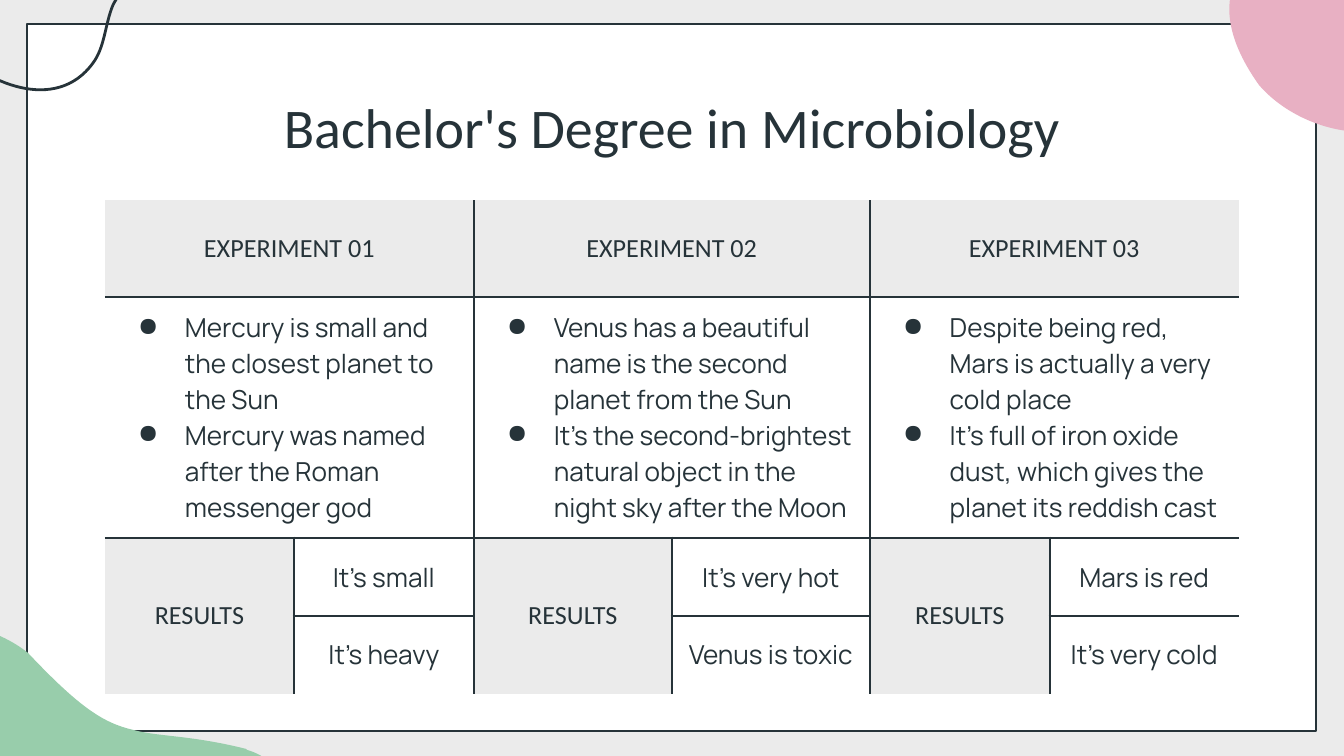
import pptx
import pptx.util
import pptx.dml.color
import pptx.enum.shapes
import pptx.enum.text
import pptx.oxml
import pptx.oxml.ns
import lxml.etree

PX = 914400 / 134.4
COLORS = {"ink": "263339", "gray": "EBEBEB", "white": "FFFFFF", "pink": "E8B0C3", "green": "98CDAB"}
LINE = pptx.util.Pt(1.5)
MIDDLE = pptx.enum.text.MSO_ANCHOR.MIDDLE
CENTER = pptx.enum.text.PP_ALIGN.CENTER
qn = pptx.oxml.ns.qn
RGB = {k: pptx.dml.color.RGBColor.from_string(v) for k, v in COLORS.items()}


def px(n):
    return round(n * PX)


def write(tf, texts, font, size, bullet=False):
    for i, text in enumerate(texts):
        p = tf.paragraphs[0] if i == 0 else tf.add_paragraph()
        r = p.add_run()
        r.text = text
        for key, value in {"name": font, "size": pptx.util.Pt(size), "bold": False}.items():
            setattr(r.font, key, value)
        r.font.color.rgb = RGB["ink"]
        if not bullet:
            p.alignment = CENTER
            continue
        pPr = p._p.get_or_add_pPr()
        pPr.set("marL", str(px(67)))
        pPr.set("indent", str(px(-47)))
        color = lxml.etree.SubElement(pPr, qn("a:buClr"))
        lxml.etree.SubElement(color, qn("a:srgbClr"), val=COLORS["ink"])
        lxml.etree.SubElement(pPr, qn("a:buChar"), char="●")


prs = pptx.Presentation()
prs.slide_width, prs.slide_height = px(1344), px(756)
s = prs.slides.add_slide(prs.slide_layouts[5])
s.background.fill.solid()
s.background.fill.fore_color.rgb = RGB["gray"]

frame = s.shapes.add_shape(pptx.enum.shapes.MSO_SHAPE.RECTANGLE, px(27), px(24), px(1289), px(707))
frame.shadow.inherit = False
frame.fill.solid()
frame.fill.fore_color.rgb = RGB["white"]
frame.line.color.rgb = RGB["ink"]
frame.line.width = LINE

# Each blob is a start point followed by triples of cubic curve points.
blobs = [
    ("pink", [(1337, -69), (1259, -69), (1187, -16), (1259, 85), (1283, 113), (1324, 132), (1363, 132),
              (1384, 132), (1407, 125), (1425, 112), (1452, 86), (1464, 43), (1457, 7),
              (1443, -44), (1388, -69), (1337, -69)]),
    ("green", [(-39, 624), (-50, 621), (-59, 620), (-70, 618), (-102, 612), (-130, 641), (-142, 671),
               (-164, 767), (-70, 852), (17, 875), (20, 876), (24, 878), (28, 878),
               (98, 895), (294, 867), (286, 786), (282, 769), (265, 755), (247, 750),
               (247, 750), (246, 749), (246, 749), (190, 735), (159, 737), (133, 730),
               (103, 723), (79, 707), (28, 653), (8, 637), (-15, 629), (-39, 624)]),
    (None, [(-50, 46), (-15, 83), (56, 114), (93, 63), (105, 47), (105, 24), (113, 5),
            (144, -54), (194, -17), (224, -46), (250, -86), (215, -134), (180, -157),
            (17, -284), (-278, -126), (-50, 46)]),
]
for fill, points in blobs:
    fb = s.shapes.build_freeform(*points[0], scale=PX)
    fb.add_line_segments(points[1:], close=fill is not None)
    sp = fb.convert_to_shape()
    sp.shadow.inherit = False
    segments = list(sp._element.iter(qn("a:lnTo")))
    for i in range(0, len(segments) - 2, 3):
        curve = lxml.etree.Element(qn("a:cubicBezTo"))
        segments[i].addprevious(curve)
        for segment in segments[i:i + 3]:
            curve.append(segment[0])
            segment.getparent().remove(segment)
    if fill:
        sp.fill.solid()
        sp.fill.fore_color.rgb = RGB[fill]
        sp.line.fill.background()
    else:
        sp.fill.background()
        sp.line.color.rgb = RGB["ink"]
        sp.line.width = LINE

title = s.shapes.title
s.shapes._spTree.append(title._element)
for key, value in {"left": 105, "top": 79, "width": 1134, "height": 94}.items():
    setattr(title, key, px(value))
tf = title.text_frame
margins = {f"margin_{side}": px(13) for side in ("left", "top", "right", "bottom")}
for key, value in {**margins, "word_wrap": True, "vertical_anchor": MIDDLE,
                   "auto_size": pptx.enum.text.MSO_AUTO_SIZE.NONE}.items():
    setattr(tf, key, value)
write(tf, ["Bachelor's Degree in Microbiology"], "Calibri", 30)

experiments = [
    ("EXPERIMENT 01",
     ["Mercury is small and the closest planet to the Sun",
      "Mercury was named after the Roman messenger god"],
     ["It’s small", "It’s heavy"]),
    ("EXPERIMENT 02",
     ["Venus has a beautiful name is the second planet from the Sun",
      "It’s the second-brightest natural object in the night sky after the Moon"],
     ["It’s very hot", "Venus is toxic"]),
    ("EXPERIMENT 03",
     ["Despite being red, Mars is actually a very cold place",
      "It’s full of iron oxide dust, which gives the planet its reddish cast"],
     ["Mars is red", "It’s very cold"]),
]
cols, rows = [189, 180, 198, 198, 180, 189], [97, 223, 78, 78]
table = s.shapes.add_table(len(rows), len(cols), px(105), px(200), px(sum(cols)), px(sum(rows))).table
table.first_row = table.horz_banding = False
for col, width in zip(table.columns, cols):
    col.width = px(width)
for row, height in zip(table.rows, rows):
    row.height = px(height)

for r in range(len(rows)):
    for c in range(len(cols)):
        cell = table.cell(r, c)
        for key, value in {**margins, "vertical_anchor": MIDDLE}.items():
            setattr(cell, key, value)
        tcPr = cell._tc.get_or_add_tcPr()
        edges = {}
        for tag, b in (("a:lnL", c), ("a:lnR", c + 1)):
            edges[tag] = 0 < b < len(cols) and (b % 2 == 0 or r > 1)
        for tag, b in (("a:lnT", r), ("a:lnB", r + 1)):
            edges[tag] = 0 < b < len(rows) and (b < 3 or c % 2 == 1)
        for tag, visible in edges.items():
            ln = lxml.etree.SubElement(tcPr, qn(tag), w=str(LINE))
            if visible:
                solid = lxml.etree.SubElement(ln, qn("a:solidFill"))
                lxml.etree.SubElement(solid, qn("a:srgbClr"), val=COLORS["ink"])
            else:
                lxml.etree.SubElement(ln, qn("a:noFill"))
        if r == 0 or (r > 1 and c % 2 == 0):
            cell.fill.solid()
            cell.fill.fore_color.rgb = RGB["gray"]
        else:
            cell.fill.background()

for i, (heading, facts, results) in enumerate(experiments):
    c = 2 * i
    for r in (0, 1):
        table.cell(r, c).merge(table.cell(r, c + 1))
    table.cell(2, c).merge(table.cell(3, c))
    write(table.cell(0, c).text_frame, [heading], "Calibri", 14)
    write(table.cell(1, c).text_frame, facts, "Manrope", 14, bullet=True)
    write(table.cell(2, c).text_frame, ["RESULTS"], "Calibri", 14)
    for r, result in enumerate(results, 2):
        write(table.cell(r, c + 1).text_frame, [result], "Manrope", 14)

prs.save("out.pptx")
